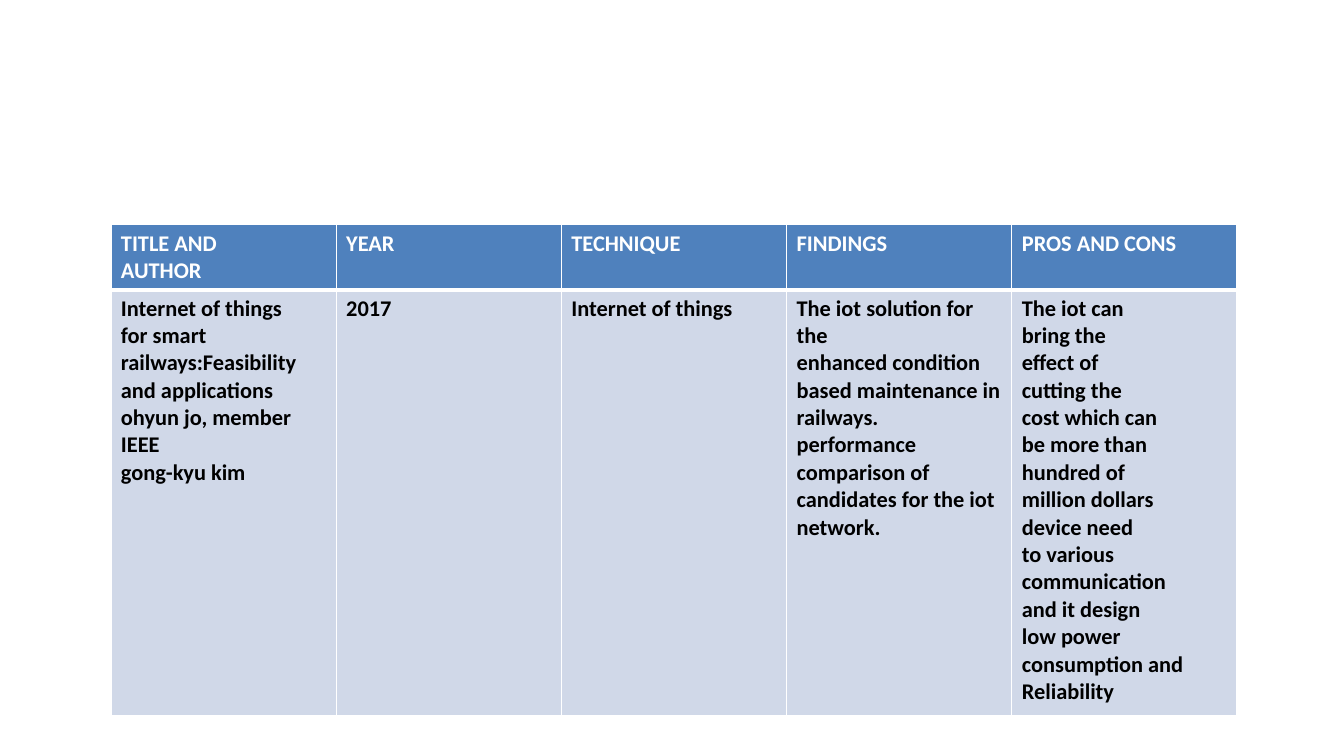
from dataclasses import dataclass

from lxml import etree
from pptx import Presentation
from pptx import util as u
from pptx.dml.color import RGBColor
from pptx.oxml import ns

HEADINGS = [
    ["TITLE AND", "AUTHOR"],
    ["YEAR"],
    ["TECHNIQUE"],
    ["FINDINGS"],
    ["PROS AND CONS"],
]
STUDY = [
    ["Internet of things", "for smart", "railways:Feasibility", "and applications",
     "ohyun jo, member", "IEEE", "gong-kyu kim"],
    ["2017"],
    ["Internet of things"],
    ["The iot solution for the", "enhanced condition", "based maintenance in", "railways.",
     "performance", "comparison of", "candidates for the iot", "network."],
    ["The iot can", "bring the", "effect of", "cutting the", "cost which can",
     "be more than", "hundred of", "million dollars", "device need", "to various",
     "communication", "and it design", "low power", "consumption and Reliability"],
]
ROWS = [HEADINGS, STUDY]

SLIDE_WIDTH, SLIDE_HEIGHT = 13.33, 7.5
TABLE_LEFT, TABLE_TOP, TABLE_WIDTH = 1.1, 2.23, 11.17
ROW_HEIGHTS = [0.64, 4.23]


@dataclass(frozen=True)
class Theme:
    font: str = "Calibri"
    size: int = 16
    fills: tuple = ("4F81BD", "D0D8E8")
    inks: tuple = ("FFFFFF", "000000")
    border: str = "FFFFFF"
    thin: int = 1
    thick: int = 3


THEME = Theme()


def add_borders(cell, widths):
    properties = cell._tc.get_or_add_tcPr()
    for side, width in widths.items():
        line = etree.SubElement(properties, ns.qn(f"a:ln{side}"), w=str(u.Pt(width)))
        fill = etree.SubElement(line, ns.qn("a:solidFill"))
        etree.SubElement(fill, ns.qn("a:srgbClr"), val=THEME.border)


def write_lines(cell, lines, ink):
    frame = cell.text_frame
    for index, line in enumerate(lines):
        paragraph = frame.add_paragraph() if index else frame.paragraphs[0]
        run = paragraph.add_run()
        run.text = line
        run.font.name = THEME.font
        run.font.size = u.Pt(THEME.size)
        run.font.bold = True
        run.font.color.rgb = RGBColor.from_string(ink)


def add_study_table(slide):
    columns = len(HEADINGS)
    table = slide.shapes.add_table(
        len(ROWS), columns, u.Inches(TABLE_LEFT), u.Inches(TABLE_TOP),
        u.Inches(TABLE_WIDTH), u.Inches(sum(ROW_HEIGHTS))).table
    for column in table.columns:
        column.width = u.Inches(TABLE_WIDTH / columns)
    for row_index, row in enumerate(ROWS):
        table.rows[row_index].height = u.Inches(ROW_HEIGHTS[row_index])
        widths = dict.fromkeys("LRTB", THEME.thin)
        widths["T" if row_index else "B"] = THEME.thick
        for column_index, lines in enumerate(row):
            cell = table.cell(row_index, column_index)
            add_borders(cell, widths)
            cell.fill.solid()
            cell.fill.fore_color.rgb = RGBColor.from_string(THEME.fills[row_index])
            write_lines(cell, lines, THEME.inks[row_index])


def main():
    presentation = Presentation()
    presentation.slide_width = u.Inches(SLIDE_WIDTH)
    presentation.slide_height = u.Inches(SLIDE_HEIGHT)
    slide = presentation.slides.add_slide(presentation.slide_layouts[6])
    add_study_table(slide)
    presentation.save("out.pptx")


if __name__ == "__main__":
    main()
